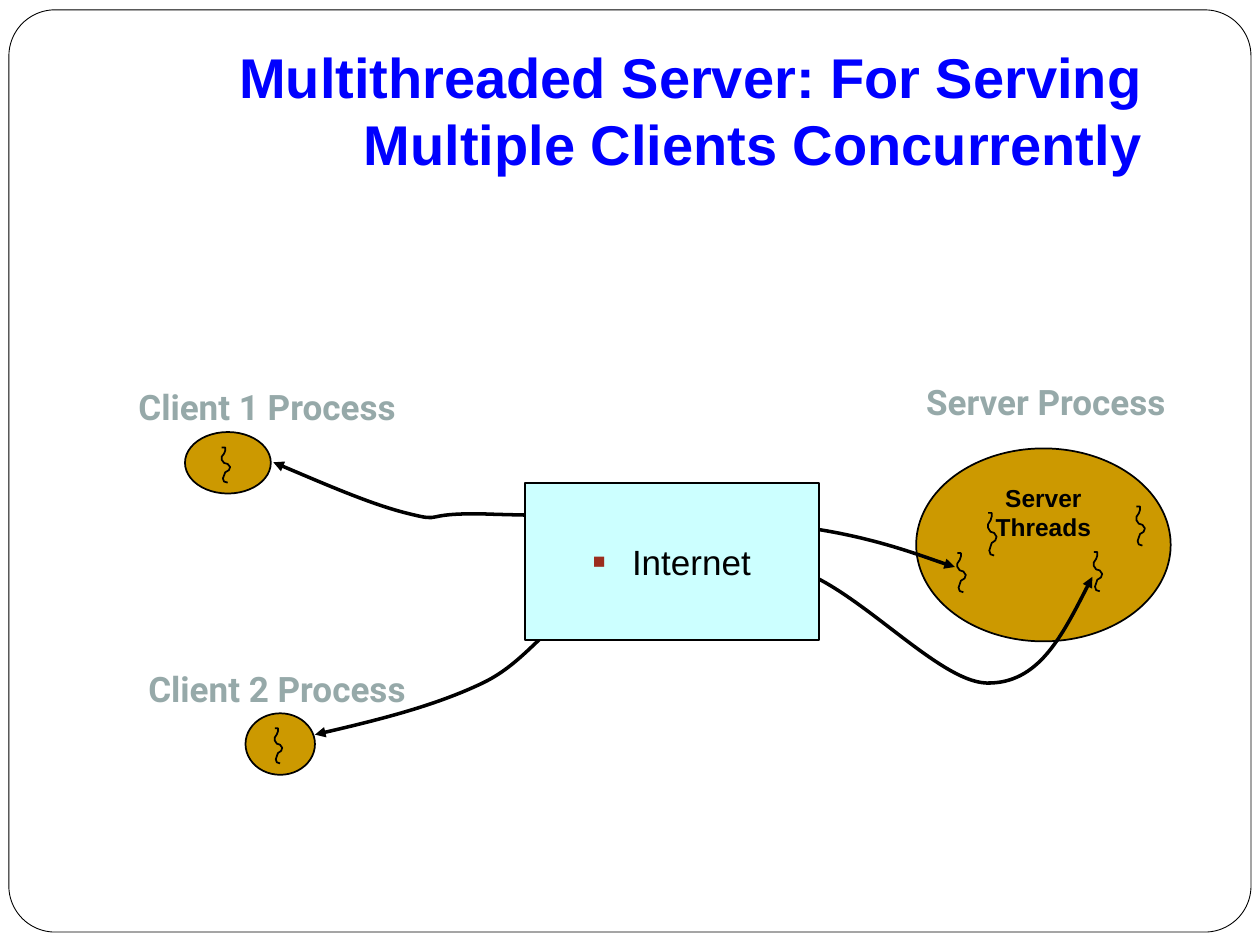
from lxml.etree import SubElement
from pptx import Presentation
from pptx.dml.color import RGBColor
from pptx.enum.shapes import MSO_SHAPE
from pptx.enum.text import MSO_ANCHOR, MSO_AUTO_SIZE, PP_ALIGN
from pptx.oxml.ns import qn
from pptx.util import Cm, Pt

COLORS = {
    "white": "FFFFFF", "black": "000000", "process": "CC9900", "label": "96A9A9",
    "title": "0000FF", "internet": "CCFFFF", "bullet": "9B2D1F",
}
WIGGLE = [
    (0, 0), (3, 0), (3, 3), (2, 6), (0, 9), (0, 12), (2, 15), (5, 16),
    (7, 19), (6, 22), (3, 24), (2, 27), (1, 30), (2, 33), (5, 34),
]
WIGGLE_W, WIGGLE_H = 7, 34
LABELS = [
    ("Server Process", 18.42, 7.54, 6.55, 1.09),
    ("Client 1 Process", 2.54, 7.65, 6.35, 1.09),
    ("Client 2 Process", 2.74, 13.34, 6.02, 1.93),
]
SERVER_THREADS = [
    (19.3, 11.15, 0.17, 0.79), (19.92, 10.34, 0.17, 0.86),
    (22.05, 11.13, 0.17, 0.79), (22.91, 10.21, 0.17, 0.79),
]
CLIENTS = [
    ((3.73, 8.71, 1.73, 1.24), (4.47, 9.02, 0.17, 0.71)),
    ((4.95, 14.38, 1.4, 1.24), (5.54, 14.68, 0.15, 0.71)),
]
CURVES = [
    [(5.51, 9.32), (6.53, 9.75), (7.54, 10.19), (8.26, 10.36),
     (8.97, 10.54), (8.46, 10.34), (9.73, 10.36),
     (11.0, 10.41), (14.3, 10.41), (15.88, 10.59),
     (17.48, 10.77), (18.75, 11.28), (19.25, 11.43)],
    [(6.35, 14.81), (7.57, 14.53), (8.79, 14.22), (9.73, 13.77),
     (10.69, 13.31), (11.05, 12.45), (12.07, 12.07),
     (13.08, 11.68), (14.58, 11.15), (15.88, 11.43),
     (17.17, 11.71), (18.87, 13.74), (19.89, 13.77),
     (20.93, 13.79), (21.46, 12.73), (22.02, 11.63)],
]


def rgb(name):
    return RGBColor.from_string(COLORS[name])


def apply_format(target, values):
    for name, value in values.items():
        setattr(target, name, value)


def place(sp, x, y, w, h):
    apply_format(sp, dict(left=Cm(x), top=Cm(y), width=Cm(w), height=Cm(h)))


def paint(sp, fill, weight=1):
    sp.shadow.inherit = False
    if fill:
        sp.fill.solid()
        sp.fill.fore_color.rgb = rgb(fill)
    else:
        sp.fill.background()
    sp.line.color.rgb = rgb("black")
    sp.line.width = Pt(weight)


def write(sp, lines, frame, align, color, font):
    tf = sp.text_frame
    apply_format(tf, {"auto_size": MSO_AUTO_SIZE.NONE, **frame})
    for i, line in enumerate(lines):
        p = tf.add_paragraph() if i else tf.paragraphs[0]
        p.alignment = align
        r = p.add_run()
        r.text = line
        apply_format(r.font, font)
        r.font.color.rgb = rgb(color)


def add_preset(shapes, kind, box, fill, weight=1):
    sp = shapes.add_shape(kind, *map(Cm, box))
    paint(sp, fill, weight)
    return sp


def add_outline(shapes, points, fill, weight=1):
    points = [(Cm(x), Cm(y)) for x, y in points]
    builder = shapes.build_freeform(*points[0])
    builder.add_line_segments(points[1:], close=False)
    sp = builder.convert_to_shape()
    paint(sp, fill, weight)
    return sp


def add_thread(shapes, x, y, w, h):
    points = [(x + w * u / WIGGLE_W, y + h * v / WIGGLE_H) for u, v in WIGGLE]
    add_outline(shapes, points, "process")


def add_client(shapes, oval, thread):
    group = shapes.add_group_shape()
    add_preset(group.shapes, MSO_SHAPE.OVAL, oval, "process")
    add_thread(group.shapes, *thread)


def add_curve(shapes, points):
    sp = add_outline(shapes, points, None, 2)
    segments = list(sp.element.iter(qn("a:lnTo")))
    path = segments[0].getparent()
    for i in range(0, len(segments), 3):
        bezier = SubElement(path, qn("a:cubicBezTo"))
        for segment in segments[i:i + 3]:
            bezier.append(segment[0])
            path.remove(segment)
    ln = sp.element.spPr.find(qn("a:ln"))
    for end in ("a:headEnd", "a:tailEnd"):
        SubElement(ln, qn(end), type="triangle")


def add_label(shapes, text, *box):
    sp = shapes.add_textbox(*map(Cm, box))
    write(sp, [text], dict(word_wrap=True), PP_ALIGN.LEFT, "label",
          dict(name="Roboto", size=Pt(20), bold=True))


def add_bullet(p):
    pPr = p._p.get_or_add_pPr()
    pPr.set("marL", str(Cm(0.79)))
    pPr.set("indent", str(-Cm(0.79)))
    color = SubElement(pPr, qn("a:buClr"))
    SubElement(color, qn("a:srgbClr"), val=COLORS["bullet"])
    SubElement(pPr, qn("a:buSzPct"), val="60000")
    SubElement(pPr, qn("a:buFont"), typeface="Arial")
    SubElement(pPr, qn("a:buChar"), char="■")


def format_title(title):
    place(title, 1.9, 0.71, 21.39, 3.1)
    write(title, ["Multithreaded Server: For Serving Multiple Clients Concurrently"],
          dict(word_wrap=True, vertical_anchor=MSO_ANCHOR.BOTTOM, margin_bottom=Cm(0.25)),
          PP_ALIGN.RIGHT, "title", dict(name="Arial", size=Pt(32), bold=True))


def main():
    prs = Presentation()
    prs.slide_width, prs.slide_height = Cm(25.4), Cm(19.05)
    s = prs.slides.add_slide(prs.slide_layouts[5])
    shapes = s.shapes

    border = add_preset(shapes, MSO_SHAPE.ROUNDED_RECTANGLE,
                        (0.18, 0.2, 25.04, 18.59), "white", 0.5)
    border.adjustments[0] = 0.05
    format_title(shapes.title)
    border.element.addnext(shapes.title.element)

    server = add_preset(shapes, MSO_SHAPE.OVAL, (18.47, 9.04, 5.13, 3.89), "process")
    write(server, ["Server", "Threads"],
          dict(word_wrap=False, vertical_anchor=MSO_ANCHOR.TOP),
          PP_ALIGN.CENTER, "black", dict(name="Arial", size=Pt(14), bold=True))
    for thread in SERVER_THREADS:
        add_thread(shapes, *thread)
    for oval, thread in CLIENTS:
        add_client(shapes, oval, thread)
    for label in LABELS:
        add_label(shapes, *label)
    for points in CURVES:
        add_curve(shapes, points)

    internet = add_preset(shapes, MSO_SHAPE.RECTANGLE, (10.58, 9.74, 5.93, 3.17), "internet")
    add_bullet(internet.text_frame.paragraphs[0])
    write(internet, ["Internet"],
          dict(word_wrap=False, vertical_anchor=MSO_ANCHOR.MIDDLE),
          PP_ALIGN.CENTER, "black", dict(name="Arial", size=Pt(20)))

    prs.save("out.pptx")


if __name__ == "__main__":
    main()
